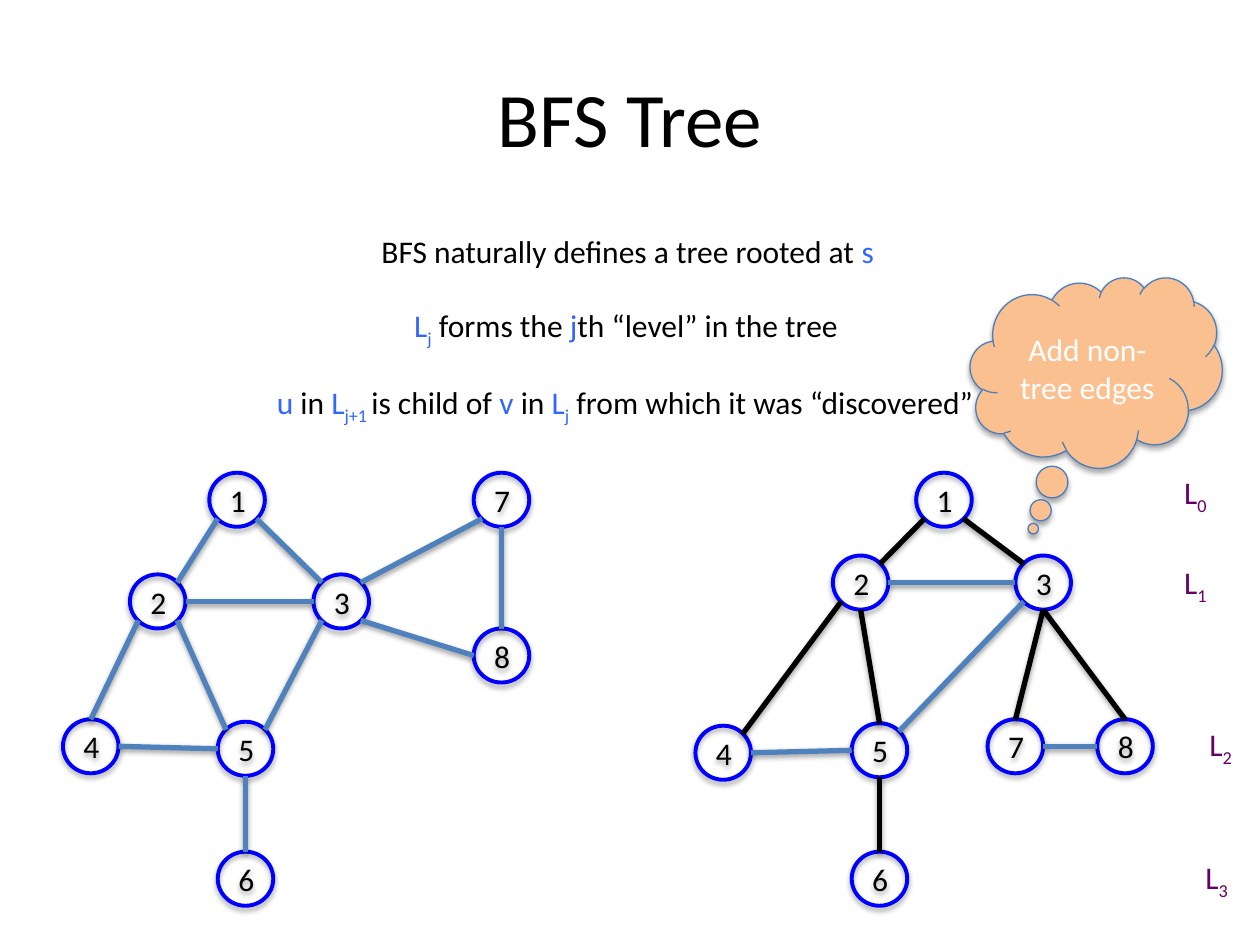
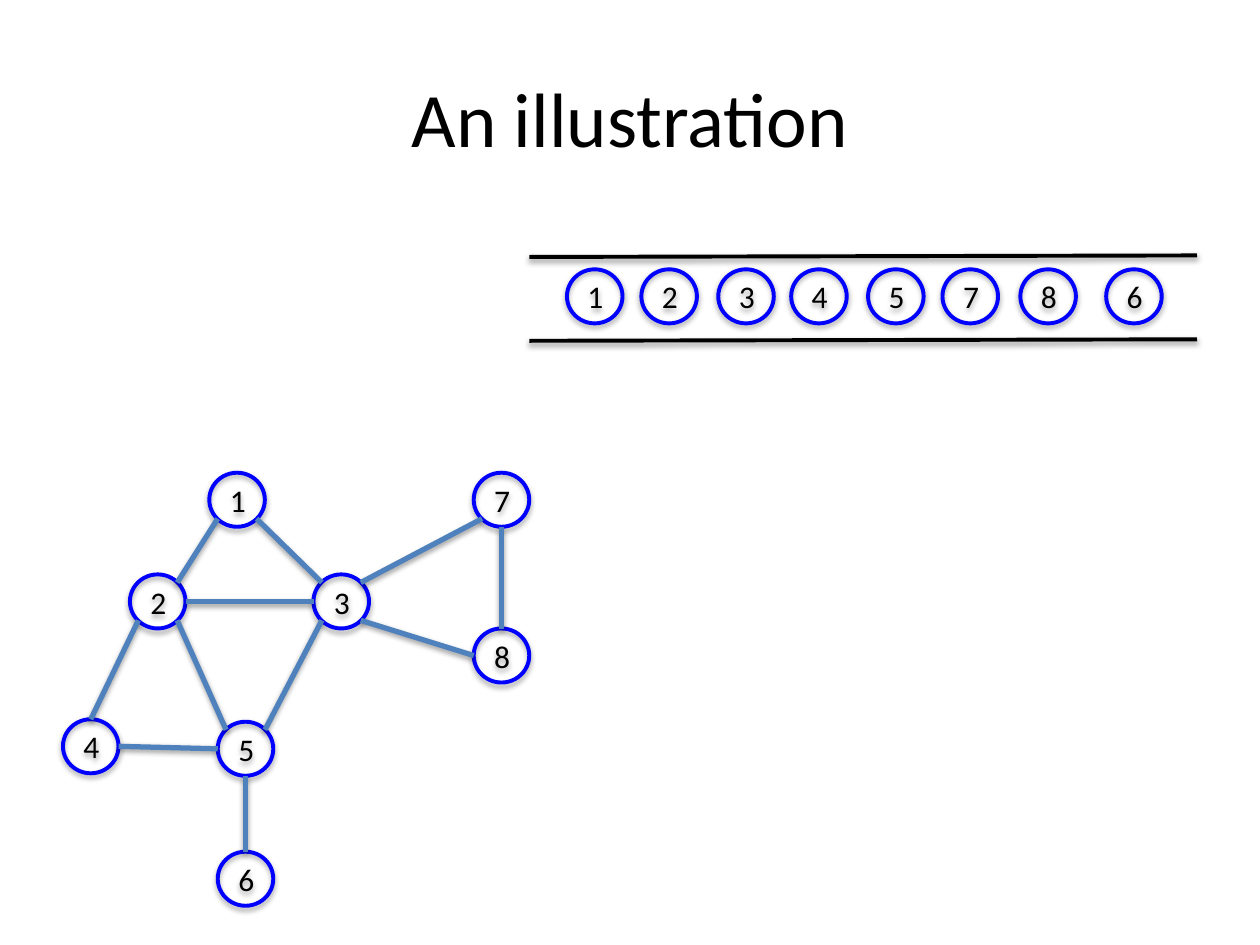
from lxml.etree import SubElement
from pptx import Presentation
from pptx.dml.color import RGBColor
from pptx.enum.shapes import MSO_CONNECTOR as CONN, MSO_SHAPE as SHAPE
from pptx.enum.text import MSO_ANCHOR as ANCHOR, MSO_AUTO_SIZE as AUTO, PP_ALIGN as ALIGN
from pptx.oxml.ns import qn
from pptx.util import Cm, Pt

COLORS = {
    "black": "000000", "white": "FFFFFF", "symbol": "3366FF", "level": "660066",
    "node": "0000FF", "edge": "4F81BD", "cloud": "FAC090", "cloud_line": "4B7EBC",
}
FONT = "Calibri"
NODE_W, NODE_H = 1.12, 1.09
DIAGONAL = 0.35
SITES = {
    "t": (0, -0.5), "b": (0, 0.5), "l": (-0.5, 0), "r": (0.5, 0),
    "tl": (-DIAGONAL, -DIAGONAL), "tr": (DIAGONAL, -DIAGONAL),
    "bl": (-DIAGONAL, DIAGONAL), "br": (DIAGONAL, DIAGONAL),
}

GRAPH_NODES = {
    1: (4.22, 9.53), 2: (2.62, 11.58), 3: (6.32, 11.58), 4: (1.27, 14.5),
    5: (4.39, 14.55), 6: (4.39, 17.17), 7: (9.55, 9.53), 8: (9.55, 12.67),
}
GRAPH_EDGES = [
    (1, "bl", 2, "tr"), (1, "br", 3, "tl"), (2, "r", 3, "l"), (2, "bl", 4, "t"),
    (4, "r", 5, "l"), (3, "bl", 5, "tr"), (5, "b", 6, "t"), (3, "tr", 7, "bl"),
    (7, "b", 8, "t"), (3, "br", 8, "l"), (2, "br", 5, "tl"),
]
TREE_NODES = {
    1: (18.47, 9.53), 2: (16.79, 11.2), 3: (20.47, 11.2), 4: (14.02, 14.63),
    5: (17.17, 14.58), 6: (17.17, 17.17), 7: (19.91, 14.5), 8: (22.12, 14.5),
}
TREE_EDGES = [
    (1, "bl", 2, "tr"), (1, "br", 3, "tl"), (2, "bl", 4, "tr"), (3, "b", 7, "t"),
    (3, "b", 8, "t"), (2, "b", 5, "t"), (5, "b", 6, "t"),
]
NON_TREE_EDGES = [(2, "r", 3, "l"), (4, "r", 5, "l"), (7, "r", 8, "l"), (5, "tr", 3, "bl")]
LEVELS = [(23.62, 9.42), (23.62, 11.23), (24.13, 14.5), (24.05, 17.17)]
QUEUE = {1: 11.43, 2: 12.93, 3: 14.48, 4: 15.95, 5: 17.5, 7: 19, 8: 20.57, 6: 22.3}

STATEMENTS = [
    (7.44, 4.55, 10.54, [("BFS naturally defines a tree rooted at ", "black"), ("s", "symbol")]),
    (8.1, 6.05, 9.19, [
        ("L", "symbol"), ("j", "symbol", True), (" forms the ", "black"),
        ("j", "symbol"), ("th “level” in the tree", "black")]),
    (5.33, 7.59, 15.14, [
        ("u", "symbol"), (" in ", "black"), ("L", "symbol"), ("j+1 ", "symbol", True),
        ("is child of ", "black"), ("v", "symbol"), (" in ", "black"), ("L", "symbol"),
        ("j", "symbol", True), (" from which it was “discovered”", "black")]),
]


def rgb(name):
    return RGBColor.from_string(COLORS[name])


class Deck:
    def __init__(self):
        self.prs = Presentation()
        self.prs.slide_width, self.prs.slide_height = Cm(25.4), Cm(19.05)

    def new_slide(self, title):
        self.slide = self.prs.slides.add_slide(self.prs.slide_layouts[5])
        sp = self.slide.shapes.title
        sp.left, sp.top, sp.width, sp.height = Cm(1.27), Cm(0.76), Cm(22.86), Cm(3.18)
        sp.text_frame.vertical_anchor = ANCHOR.MIDDLE
        self.add_runs(sp, [(title, "black")], 44, ALIGN.CENTER)

    def add_runs(self, sp, runs, size=18, align=ALIGN.LEFT):
        p = sp.text_frame.paragraphs[0]
        p.alignment = align
        for text, color, *subscript in runs:
            r = p.add_run()
            r.text = text
            r.font.name, r.font.size = FONT, Pt(size)
            r.font.color.rgb = rgb(color)
            if subscript:
                r.font._element.set("baseline", "-25000")

    def shadow(self, sp, dist, alpha):
        effects = SubElement(sp._element.spPr, qn("a:effectLst"))
        outer = SubElement(effects, qn("a:outerShdw"), blurRad="40000", dist=str(dist),
                           dir="5400000", rotWithShape="0")
        black = SubElement(outer, qn("a:srgbClr"), val=COLORS["black"])
        SubElement(black, qn("a:alpha"), val=str(alpha))

    def text(self, x, y, w, runs):
        sp = self.slide.shapes.add_textbox(Cm(x), Cm(y), Cm(w), Cm(1.03))
        sp.text_frame.word_wrap = False
        sp.text_frame.auto_size = AUTO.SHAPE_TO_FIT_TEXT
        self.add_runs(sp, runs)

    def shape(self, kind, x, y, w, h, text, color, line, width, fill=None):
        sp = self.slide.shapes.add_shape(kind, Cm(x), Cm(y), Cm(w), Cm(h))
        if fill:
            sp.fill.solid()
            sp.fill.fore_color.rgb = rgb(fill)
        else:
            sp.fill.background()
        sp.line.color.rgb, sp.line.width = rgb(line), Pt(width)
        self.shadow(sp, 23000, 35000)
        sp.text_frame.vertical_anchor = ANCHOR.MIDDLE
        self.add_runs(sp, [(text, color)], align=ALIGN.CENTER)
        return sp

    def line(self, start, end, color, width=3):
        cxn = self.slide.shapes.add_connector(CONN.STRAIGHT, *map(Cm, start + end))
        cxn.line.color.rgb, cxn.line.width = rgb(color), Pt(width)
        self.shadow(cxn, 20000, 38000)

    def nodes(self, places):
        for number, (x, y) in places.items():
            self.shape(SHAPE.OVAL, x, y, NODE_W, NODE_H, str(number), "black", "node", 2.25)

    def edges(self, places, edges, color):
        def site(number, side):
            (x, y), (dx, dy) = places[number], SITES[side]
            return x + NODE_W * (0.5 + dx), y + NODE_H * (0.5 + dy)

        for a, a_side, b, b_side in edges:
            self.line(site(a, a_side), site(b, b_side), color)

    def graph(self):
        self.nodes(GRAPH_NODES)
        self.edges(GRAPH_NODES, GRAPH_EDGES, "edge")

    def cloud(self, x, y, w, h, text):
        sp = self.shape(SHAPE.CLOUD_CALLOUT, x, y, w, h, text, "white", "cloud_line", 0.75, "cloud")
        sp.adjustments[0], sp.adjustments[1] = -0.25, 0.82


def tree_slide(deck):
    deck.new_slide("BFS Tree")
    for x, y, w, runs in STATEMENTS:
        deck.text(x, y, w, runs)
    deck.graph()
    deck.nodes(TREE_NODES)
    deck.edges(TREE_NODES, TREE_EDGES, "black")
    for level, (x, y) in enumerate(LEVELS):
        deck.text(x, y, 1.01, [("L", "level"), (str(level), "level", True)])
    deck.cloud(19.56, 5.59, 5.08, 3.84, "Add non-tree edges")
    deck.edges(TREE_NODES, NON_TREE_EDGES, "edge")


def queue_slide(deck):
    deck.new_slide("An illustration")
    deck.graph()
    for y in (5.18, 6.87):
        deck.line((10.67, y), (24.13, y - 0.03), "black", 2.25)
    deck.nodes({number: (x, 5.43) for number, x in QUEUE.items()})


def main():
    deck = Deck()
    tree_slide(deck)
    queue_slide(deck)
    deck.prs.save("out.pptx")


if __name__ == "__main__":
    main()
